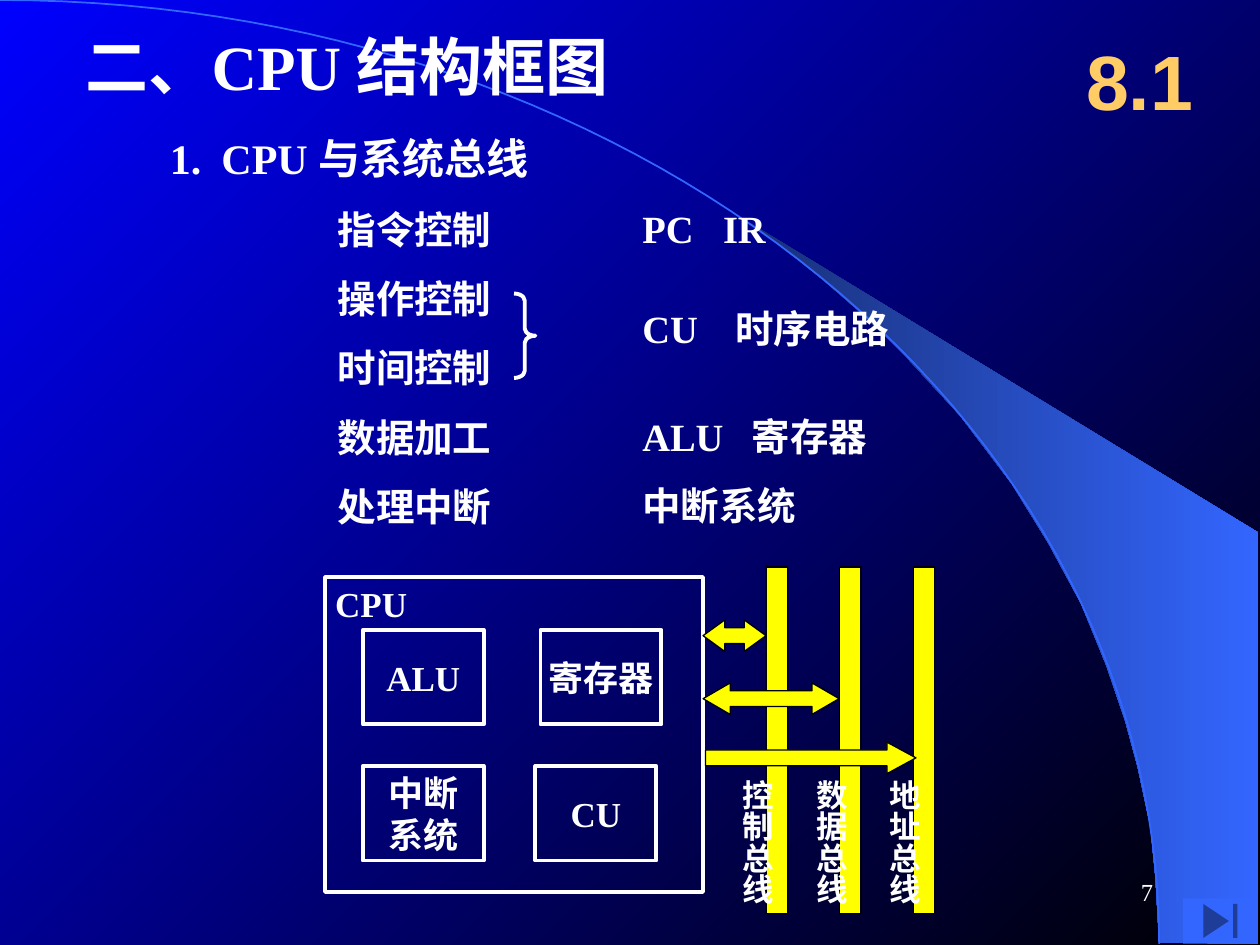
import pptx
import pptx.util
import pptx.dml.color
import pptx.enum.shapes
import pptx.enum.text
import pptx.oxml.ns
from lxml import etree

Inches, Pt = pptx.util.Inches, pptx.util.Pt
SHAPE = pptx.enum.shapes.MSO_SHAPE
ALIGN = pptx.enum.text.PP_ALIGN
ANCHOR = pptx.enum.text.MSO_ANCHOR
qn = pptx.oxml.ns.qn

THEME = {
    "serif": "Times New Roman", "sans": "Arial",
    "text": "FFFFFF", "section": "FFCC66", "bus": "FFFF00", "edge": "000000",
    "accent": "3366FF", "fan": ("182F76", "3366FF"), "back": ("0000FF", "000000"),
    "title": 36, "heading": 24, "list": 22, "block": 20, "bus_label": 18,
    "section_size": 44, "number": 14, "outline": 2.25, "thin": 0.75, "arc": 1,
}

# Content
TITLE = "二、CPU 结构框图"
HEADING = ("1.\tCPU 与系统总线", 0.41)
FUNCTIONS = ["指令控制", "操作控制", "时间控制", "数据加工", "处理中断"]
# text, tab position, row in the list of functions (a half row spans two)
UNITS = [("PC\tIR", 0.64, 0), ("CU\t时序电路", 0.74, 1.44),
         ("ALU\t寄存器", 0.87, 3), ("中断系统", None, 4)]
BLOCKS = [("ALU", 2.88, 5), ("寄存器", 4.29, 5),
          ("中断\n系统", 2.88, 6.08), ("CU", 4.25, 6.08)]
BUSES = ["控制总线", "数据总线", "地址总线"]
# shape, left, top, width, head length
TRANSFERS = [(SHAPE.LEFT_RIGHT_ARROW, 5.58, 4.92, 0.5, 0.69),
             (SHAPE.LEFT_RIGHT_ARROW, 5.58, 5.42, 1.08, 0.86),
             (SHAPE.RIGHT_ARROW, 5.6, 5.89, 1.67, 0.92)]
FAN = [(9.2, 7.48), (9.99, 7.49), (9.99, 4.23), (5.89, 1.73), (6.24, 1.99),
       (6.53, 2.22), (6.85, 2.5), (7.16, 2.8), (7.62, 3.3), (8.03, 3.84),
       (8.32, 4.31), (8.58, 4.79), (8.78, 5.28), (8.93, 5.72), (9.03, 6.09),
       (9.13, 6.56), (9.17, 6.96)]
ARC = [(0, 0), (5.08, 0), (9.2, 3.35), (9.2, 7.49)]

ROW_TOP, ROW_STEP = 1.58, 0.55
BUS_LEFT, BUS_STEP = 6.08, 0.585


def rgb(name):
    return pptx.dml.color.RGBColor.from_string(THEME.get(name, name))


def paint(shape, fill=None, line=None, width=0):
    shape.shadow.inherit = False
    if fill:
        shape.fill.solid()
        shape.fill.fore_color.rgb = rgb(fill)
    else:
        shape.fill.background()
    if line:
        shape.line.color.rgb = rgb(line)
        shape.line.width = Pt(THEME[width])
    else:
        shape.line.fill.background()


def blend(fill, colors, angle):
    fill.gradient()
    fill.gradient_angle = angle
    for stop, color in zip(fill.gradient_stops, colors):
        stop.color.rgb = rgb(color)


def write(shape, text, size, color="text", font="serif", bold=True, align=ALIGN.LEFT,
          anchor=ANCHOR.TOP, margins=(0.1, 0.05), wrap=True, tab=None):
    frame = shape.text_frame
    frame.text = text
    frame.word_wrap = wrap
    frame.auto_size = pptx.enum.text.MSO_AUTO_SIZE.NONE
    frame.vertical_anchor = anchor
    frame.margin_left = frame.margin_right = Inches(margins[0])
    frame.margin_top = frame.margin_bottom = Inches(margins[1])
    for paragraph in frame.paragraphs:
        if tab:
            tabs = etree.SubElement(paragraph._p.get_or_add_pPr(), qn("a:tabLst"))
            etree.SubElement(tabs, qn("a:tab"), pos=str(Inches(tab)), algn="l")
        paragraph.alignment = align
        paragraph.font.name = THEME[font]
        paragraph.font.size = Pt(THEME[size])
        paragraph.font.bold = bold
        paragraph.font.color.rgb = rgb(color)
    return frame


def place(shape, *box):
    shape.left, shape.top, shape.width, shape.height = map(Inches, box)
    return shape


def outline(shapes, points, close):
    corners = [(Inches(x), Inches(y)) for x, y in points]
    builder = shapes.build_freeform(*corners[0])
    builder.add_line_segments(corners[1:], close=close)
    return builder.convert_to_shape()


def bezier(controls, steps=60):
    for i in range(steps + 1):
        t = i / steps
        weights = ((1 - t) ** 3, 3 * t * (1 - t) ** 2, 3 * t * t * (1 - t), t ** 3)
        yield tuple(sum(w * c[axis] for w, c in zip(weights, controls)) for axis in (0, 1))


def main():
    deck = pptx.Presentation()
    deck.slide_width, deck.slide_height = Inches(10), Inches(7.5)
    slide = deck.slides.add_slide(deck.slide_layouts[1])
    shapes = slide.shapes

    def add(kind, *box):
        return shapes.add_shape(kind, *map(Inches, box))

    def label(*box):
        return shapes.add_textbox(*map(Inches, box))

    # Background with the fan and the arc
    blend(slide.background.fill, THEME["back"], 315)
    fan = outline(shapes, FAN, True)
    paint(fan)
    blend(fan.fill, THEME["fan"], 0)
    paint(outline(shapes, bezier(ARC), False), None, "accent", "arc")
    # Keep the placeholders in front of the decoration
    for placeholder in slide.placeholders:
        shapes._spTree.append(placeholder._element)

    # Title, section mark and heading
    write(place(shapes.title, 0.58, 0.17, 6.25, 0.7), TITLE, "title")
    write(label(8.42, 0.17, 1.25, 0.92), "8.1", "section_size", "section", "sans",
          align=ALIGN.CENTER, anchor=ANCHOR.MIDDLE)
    write(label(1.25, 1, 3.5, 0.5), HEADING[0], "heading", tab=HEADING[1])

    # Functions and the units that carry them out
    functions = place(slide.placeholders[1], 2.58, ROW_TOP - 0.18, 2, 2.9)
    for paragraph in write(functions, "\n".join(FUNCTIONS), "list").paragraphs:
        properties = paragraph._p.get_or_add_pPr()
        properties.set("marL", "0")
        properties.set("indent", "0")
        etree.SubElement(properties, qn("a:buNone"))
        properties.append(properties.find(qn("a:defRPr")))
        paragraph.line_spacing = Pt(ROW_STEP * 72)
        paragraph.space_before = Pt(0)
    for text, tab, row in UNITS:
        write(label(5, ROW_TOP + row * ROW_STEP, 3, 0.47), text, "list", tab=tab)
    brace = add(SHAPE.RIGHT_BRACE, 4.08, 2.33, 0.17, 0.67)
    brace.adjustments[0] = 0.33
    paint(brace, None, "text", "outline")

    # CPU and its blocks
    cpu = add(SHAPE.RECTANGLE, 2.58, 4.58, 3, 2.5)
    paint(cpu, None, "text", "outline")
    write(cpu, "CPU", "block", margins=(0.08, 0.04))
    for text, left, top in BLOCKS:
        block = add(SHAPE.RECTANGLE, left, top, 0.96, 0.75)
        paint(block, None, "text", "outline")
        write(block, text, "block", align=ALIGN.CENTER, anchor=ANCHOR.MIDDLE, margins=(0, 0))

    # Buses, transfers and bus names
    bus_lefts = [BUS_LEFT + i * BUS_STEP for i in range(len(BUSES))]
    for left in bus_lefts:
        paint(add(SHAPE.RECTANGLE, left, 4.5, 0.17, 2.75), "bus", "edge", "thin")
    for kind, left, top, width, head in TRANSFERS:
        arrow = add(kind, left, top, width, 0.25)
        arrow.adjustments[0], arrow.adjustments[1] = 0.5, head
        paint(arrow, "bus", "edge", "thin")
    for name, left in zip(BUSES, bus_lefts):
        frame = write(label(left - 0.37, 6.09, 0.5, 1.1), name, "bus_label",
                      margins=(0.05, 0.05), wrap=False)
        frame._txBody.bodyPr.set("vert", "eaVert")

    # Button and slide number
    paint(add(SHAPE.ACTION_BUTTON_END, 9.39, 7.13, 0.59, 0.36), "accent")
    write(label(7.17, 6.83, 2.08, 0.5), "7", "number", bold=False,
          align=ALIGN.RIGHT, anchor=ANCHOR.MIDDLE)

    deck.save("out.pptx")


if __name__ == "__main__":
    main()
